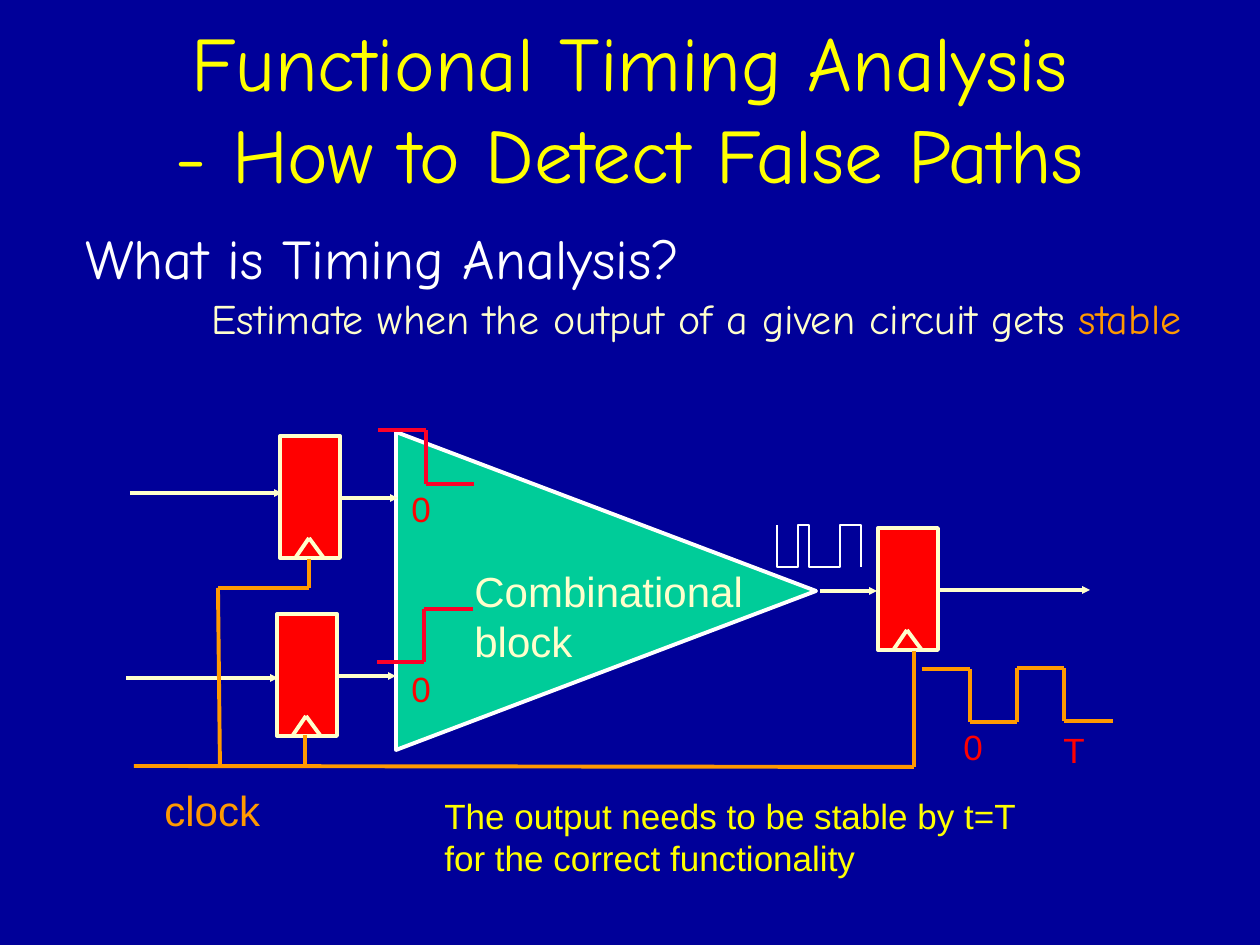
from itertools import pairwise
from pptx import Presentation
from pptx.dml.color import RGBColor
from pptx.enum.shapes import MSO_CONNECTOR, MSO_SHAPE
from pptx.enum.text import PP_ALIGN
from pptx.oxml.ns import qn
from pptx.util import Pt
from lxml import etree

RECT = MSO_SHAPE.RECTANGLE
TRI = MSO_SHAPE.ISOSCELES_TRIANGLE
LINE = MSO_CONNECTOR.STRAIGHT
LEFT, MID = PP_ALIGN.LEFT, PP_ALIGN.CENTER
PX = 914400 / 126
COMIC, ARIAL = "Comic Neue", "Arial"
CREAM, WHITE, YELLOW = "FFFFCC", "FFFFFF", "FFFF00"
RED, PINK, GOLD, GREEN = "FF0000", "FC0128", "FF9900", "00CC99"


def px(*nums):
    return [round(n * PX) for n in nums]


def paint(part, tone):
    if hasattr(part, "solid"):
        part.solid()
        part = part.fore_color
    elif hasattr(part, "color"):
        part = part.color
    part.rgb = RGBColor.from_string(tone)


prs = Presentation()
prs.slide_width, prs.slide_height = px(1260, 945)
slide = prs.slides.add_slide(prs.slide_layouts[6])
paint(slide.background.fill, "000099")
shapes = slide.shapes

blocks = [
    (TRI, (447, 381, 318, 420), 90, GREEN, WHITE),
]
wires = []
for x, y in [(280, 436), (277, 614), (878, 528)]:
    blocks.append((RECT, (x, y, 60, 122), 0, RED, CREAM))
    wires.append((CREAM, False, [(x + 16, y + 121), (x + 29, y + 102), (x + 43, y + 121)]))

for kind, box, turn, tone, edge in blocks:
    block = shapes.add_shape(kind, *px(*box))
    block.rotation = turn
    block.shadow.inherit = False
    paint(block.fill, tone)
    paint(block.line, edge)
    block.line.width = Pt(2.25)

arrows = [
    (130, 493, 152), (126, 678, 152), (938, 590, 152),
    (341, 498, 57), (339, 676, 57), (820, 591, 57),
]
for x, y, run in arrows:
    wires.append((CREAM, True, [(x, y), (x + run, y)]))

wires += [
    (GOLD, False, [(309, 559), (309, 588), (218, 588), (220, 766)]),
    (GOLD, False, [(134, 766), (914, 767), (914, 651)]),
    (GOLD, False, [(305, 735), (305, 766)]),
    (PINK, False, [(378, 430), (426, 430), (426, 484), (474, 484)]),
    (PINK, False, [(377, 662), (424, 662), (424, 609), (473, 609)]),
    (GOLD, False, [(922, 669), (970, 669), (970, 722), (1017, 722),
                   (1017, 668), (1064, 668), (1064, 721), (1113, 721)]),
]
for tone, head, spots in wires:
    for start, end in pairwise(spots):
        wire = shapes.add_connector(LINE, *px(*start, *end))
        paint(wire.line, tone)
        wire.line.width = Pt(2.25)
        if head:
            tip = etree.SubElement(wire.line._get_or_add_ln(), qn("a:tailEnd"))
            for key, val in {"type": "triangle", "w": "sm", "len": "sm"}.items():
                tip.set(key, val)
        etree.SubElement(wire._element.spPr, qn("a:effectLst"))

low, high = 567, 525
glitch = [(777, low), (798, low), (798, high), (809, high), (809, low),
          (840, low), (840, high), (861, high), (861, low)]
pen = shapes.build_freeform(777, high, scale=PX)
pen.add_line_segments(glitch, close=False)
pulse = pen.convert_to_shape()
pulse.shadow.inherit = False
pulse.fill.background()
paint(pulse.line, WHITE)
pulse.line.width = Pt(1.5)

texts = [
    ((94, 8, 1072, 196), COMIC, MID, [
        (0, 44, [("Functional Timing Analysis", YELLOW)]),
        (0, 44, [("- How to Detect False Paths", YELLOW)])]),
    ((73, 217, 1160, 132), COMIC, LEFT, [
        (0, 32, [("What is Timing Analysis?", WHITE)]),
        (126, 24, [("Estimate when the output of a given circuit gets ", CREAM),
                   ("stable", GOLD)])]),
    ((432, 788, 816, 97), ARIAL, LEFT, [
        (0, 20, [("The output needs to be stable by t=T", YELLOW)]),
        (0, 20, [("for the correct functionality", YELLOW)])]),
    ((152, 778, 130, 63), ARIAL, LEFT, [(0, 24, [("clock", GOLD)])]),
    ((462, 559, 310, 113), ARIAL, LEFT, [
        (0, 24, [("Combinational", CREAM)]),
        (0, 24, [("block", CREAM)])]),
    ((399, 481, 46, 55), ARIAL, LEFT, [(0, 20, [("0", RED)])]),
    ((399, 661, 46, 55), ARIAL, LEFT, [(0, 20, [("0", RED)])]),
    ((1051, 722, 48, 55), ARIAL, LEFT, [(0, 20, [("T", RED)])]),
    ((951, 719, 46, 55), ARIAL, LEFT, [(0, 20, [("0", RED)])]),
]
for box, face, side, rows in texts:
    frame = shapes.add_textbox(*px(*box)).text_frame
    frame.word_wrap = True
    for num, (dent, size, runs) in enumerate(rows):
        para = frame.add_paragraph() if num else frame.paragraphs[0]
        para.alignment = side
        if dent:
            para.space_before = Pt(1)
            para._p.get_or_add_pPr().set("marL", str(px(dent)[0]))
        for words, tone in runs:
            run = para.add_run()
            run.text = words
            for key, val in {"name": face, "size": Pt(size)}.items():
                setattr(run.font, key, val)
            paint(run.font, tone)

prs.save("out.pptx")
